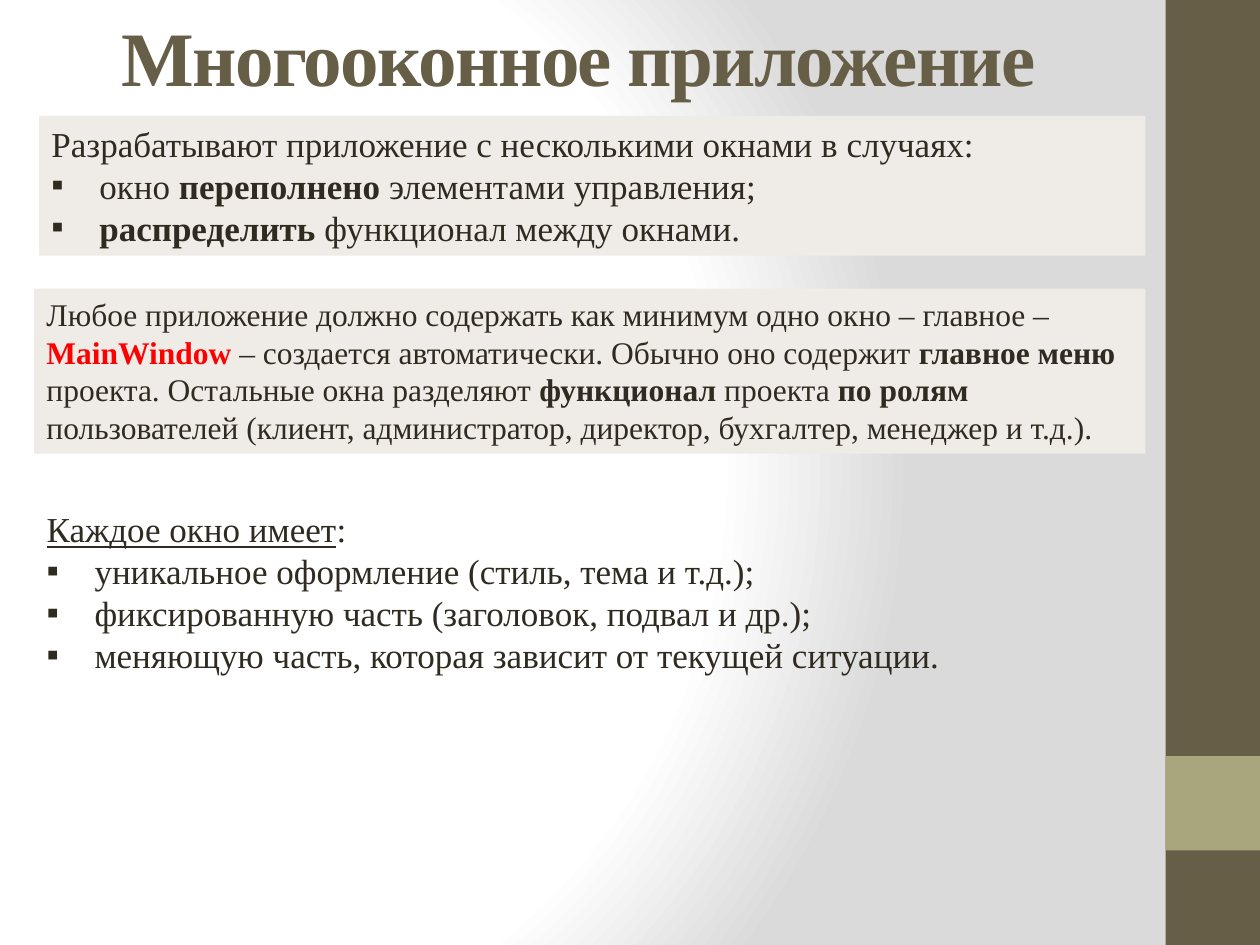
import pptx
import pptx.dml.color
import pptx.enum.shapes
import pptx.enum.text
import pptx.oxml
import pptx.oxml.ns
import pptx.util

FONT = "Times New Roman"
COLORS = {"brown": "675E47", "olive": "A9A57C", "panel": "EFECE7",
          "ink": "2F2B20", "accent": "FF0000"}
BULLET, INDENT = "▪", 0.38
WIDTH, HEIGHT = 10, 7.5
SIDEBAR = 0.75

TITLE = "Многооконное приложение"

# Each paragraph is (bulleted, runs); each run is (text, style).
CASES = [
    (False, [("Разрабатывают приложение с несколькими окнами в случаях:", "")]),
    (True, [("окно ", ""), ("переполнено ", "bold"), ("элементами управления;", "")]),
    (True, [("распределить ", "bold"), ("функционал между окнами.", "")]),
]
MAIN_WINDOW = [
    (False, [
        ("Любое приложение должно содержать как минимум одно окно – главное – ", ""),
        ("MainWindow", "accent"),
        (" – создается автоматически. Обычно оно содержит ", ""),
        ("главное меню", "bold"),
        (" проекта. Остальные окна разделяют ", ""),
        ("функционал", "bold"),
        (" проекта ", ""),
        ("по ролям ", "bold"),
        ("пользователей (клиент, администратор, директор, бухгалтер, менеджер и т.д.).", ""),
    ]),
]
WINDOW_PARTS = [
    (False, [("Каждое окно имеет", "underline"), (":", "")]),
    (True, [("уникальное оформление (стиль, тема и т.д.);", "")]),
    (True, [("фиксированную часть (заголовок, подвал и др.);", "")]),
    (True, [("меняющую часть, которая зависит от текущей ситуации.", "")]),
]

GRADIENT = [(0, "FFFFFF"), (75, "FFFFFF"), (100, "DADADA")]
GRADIENT_CENTER = {"l": 20, "t": 50, "r": 100, "b": 50}


def rgb(name):
    return pptx.dml.color.RGBColor.from_string(COLORS[name])


def place(shape, box):
    shape.left, shape.top, shape.width, shape.height = map(pptx.util.Inches, box)


def add_block(slide, box, color):
    block = slide.shapes.add_shape(pptx.enum.shapes.MSO_SHAPE.RECTANGLE,
                                   *map(pptx.util.Inches, box))
    block.shadow.inherit = False
    block.fill.solid()
    block.fill.fore_color.rgb = rgb(color)
    block.line.fill.background()
    return block


def add_child(parent, tag, **attributes):
    child = pptx.oxml.ns.qn(tag)
    element = parent.makeelement(child, attributes)
    parent.append(element)
    return element


def set_background(slide):
    slide.background.fill.gradient()
    gradient = slide._element.find(".//" + pptx.oxml.ns.qn("a:gradFill"))
    for child in list(gradient):
        gradient.remove(child)
    stops = add_child(gradient, "a:gsLst")
    for position, color in GRADIENT:
        stop = add_child(stops, "a:gs", pos=str(position * 1000))
        add_child(stop, "a:srgbClr", val=color)
    circle = add_child(gradient, "a:path", path="circle")
    add_child(circle, "a:fillToRect",
              **{side: str(share * 1000) for side, share in GRADIENT_CENTER.items()})


def set_bullet(paragraph, bulleted):
    properties = paragraph._p.get_or_add_pPr()
    indent = pptx.util.Inches(INDENT) if bulleted else 0
    properties.set("marL", str(indent))
    properties.set("indent", str(-indent))
    if bulleted:
        add_child(properties, "a:buFont", typeface=FONT)
        add_child(properties, "a:buChar", char=BULLET)
    else:
        add_child(properties, "a:buNone")


def set_font(paragraph, size, color):
    paragraph.font.name = FONT
    paragraph.font.size = pptx.util.Pt(size)
    paragraph.font.color.rgb = rgb(color)


def write(shape, paragraphs, size):
    frame = shape.text_frame
    frame.word_wrap = True
    frame.auto_size = pptx.enum.text.MSO_AUTO_SIZE.NONE
    frame.vertical_anchor = pptx.enum.text.MSO_ANCHOR.TOP
    for number, (bulleted, runs) in enumerate(paragraphs):
        paragraph = frame.add_paragraph() if number else frame.paragraphs[0]
        paragraph.alignment = pptx.enum.text.PP_ALIGN.LEFT
        paragraph.space_before = pptx.util.Pt(0)
        set_bullet(paragraph, bulleted)
        set_font(paragraph, size, "ink")
        for text, style in runs:
            run = paragraph.add_run()
            run.text = text
            run.font.color.rgb = rgb("accent" if style == "accent" else "ink")
            if style in ("bold", "accent"):
                run.font.bold = True
            elif style == "underline":
                run.font.underline = True


def write_title(title):
    place(title, (0.02, 0.02, 9.15, 0.84))
    title.text_frame.text = TITLE
    title.text_frame.auto_size = pptx.enum.text.MSO_AUTO_SIZE.NONE
    heading = title.text_frame.paragraphs[0]
    heading.alignment = pptx.enum.text.PP_ALIGN.CENTER
    set_font(heading, 44, "brown")
    heading.font.bold = True
    heading.runs[0]._r.get_or_add_rPr().set("spc", "-100")


def main():
    deck = pptx.Presentation()
    deck.slide_width = pptx.util.Inches(WIDTH)
    deck.slide_height = pptx.util.Inches(HEIGHT)
    slide = deck.slides.add_slide(deck.slide_layouts[1])
    set_background(slide)

    sidebar_left = WIDTH - SIDEBAR
    add_block(slide, (sidebar_left, 0, SIDEBAR, HEIGHT), "brown")
    add_block(slide, (sidebar_left, HEIGHT * 0.8, SIDEBAR, SIDEBAR), "olive")

    write_title(slide.shapes.title)
    write(add_block(slide, (0.31, 0.92, 8.78, 1.11), "panel"), CASES, 20)
    write(add_block(slide, (0.27, 2.29, 8.82, 1.31), "panel"), MAIN_WINDOW, 18)
    window_parts = slide.placeholders[1]
    place(window_parts, (0.27, 3.98, 8.81, 1.45))
    write(window_parts, WINDOW_PARTS, 20)

    deck.save("out.pptx")


if __name__ == "__main__":
    main()
